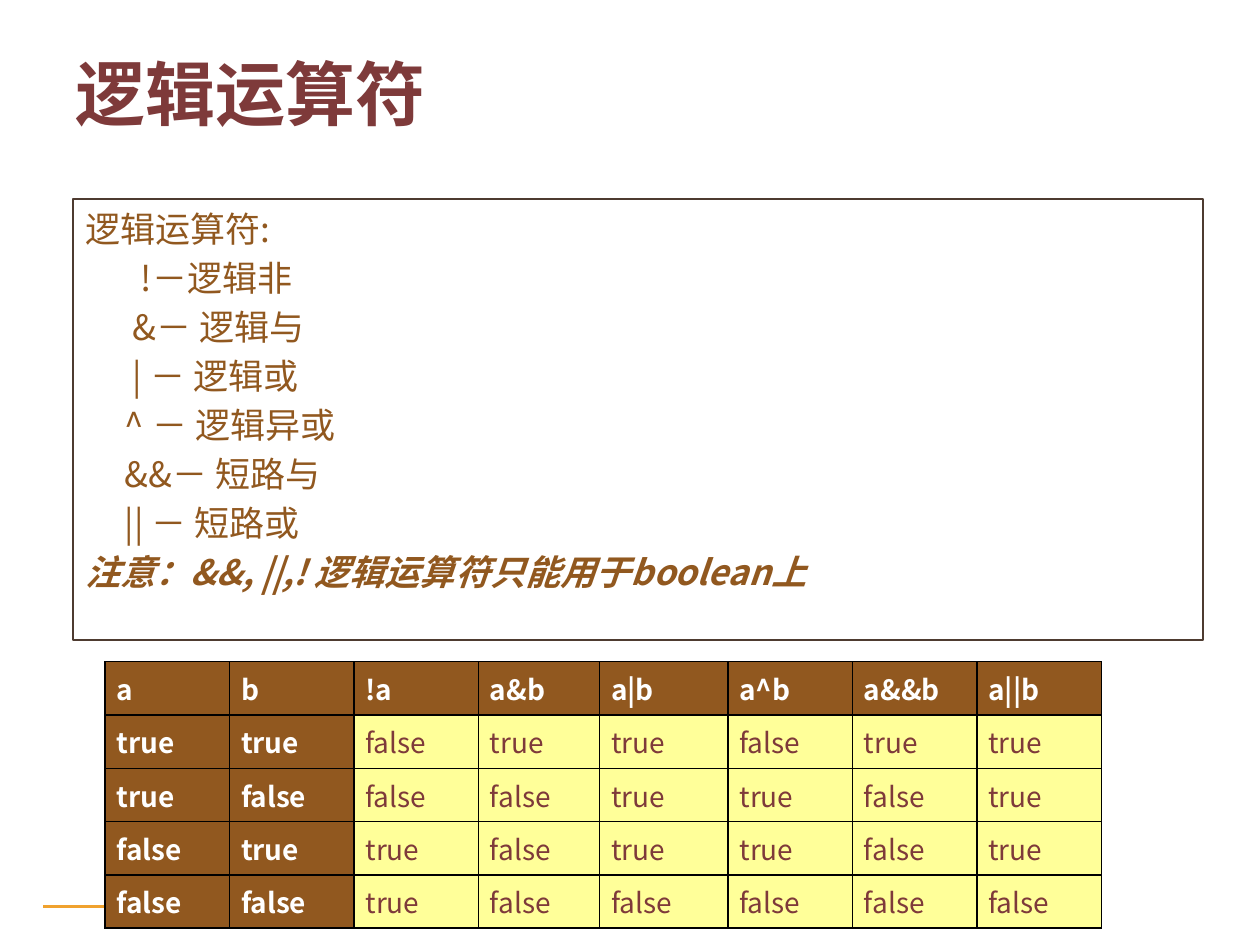
from lxml import etree
from pptx import Presentation
from pptx.dml.color import RGBColor
from pptx.enum import shapes, text
from pptx.oxml import ns
from pptx.util import Cm, Pt

FONT = "Noto Sans CJK SC"
BROWN = RGBColor(0x91, 0x58, 0x1F)
MAROON = RGBColor(0x7E, 0x3A, 0x3A)
YELLOW = RGBColor(0xFF, 0xFF, 0x99)
ORANGE = RGBColor(0xF0, 0xA2, 0x2E)
FRAME = RGBColor(0x4E, 0x3B, 0x30)
WHITE = RGBColor(0xFF, 0xFF, 0xFF)
BLACK = RGBColor(0, 0, 0)

INDENT_STEP = 0.16
OPERATORS = [
    (0, "逻辑运算符:"),
    (7, "!－逻辑非"),
    (6, "&－ 逻辑与"),
    (6, "| － 逻辑或"),
    (5, "^ － 逻辑异或"),
    (5, "&&－ 短路与"),
    (5, "|| － 短路或"),
]
NOTE = "注意：&&, ||,! 逻辑运算符只能用于boolean上"

TRUTH_TABLE = [
    ["a", "b", "!a", "a&b", "a|b", "a^b", "a&&b", "a||b"],
    ["true", "true", "false", "true", "true", "false", "true", "true"],
    ["true", "false", "false", "false", "true", "true", "false", "true"],
    ["false", "true", "true", "false", "true", "true", "false", "true"],
    ["false", "false", "true", "false", "false", "false", "false", "false"],
]
COLUMN_WIDTHS = [2.51, 2.51, 2.51, 2.44, 2.59, 2.51, 2.51, 2.51]
ROW_HEIGHT = 1.07


def apply(target, values):
    for name, value in values.items():
        setattr(target, name, value)


def write(paragraph, words, color, **font_values):
    run = paragraph.add_run()
    run.text = words
    run.font.color.rgb = color
    apply(run.font, {"name": FONT, **font_values})
    properties = run.font._element
    etree.SubElement(properties, ns.qn("a:ea"), typeface=FONT)


def place(shape, left, top, width, height):
    apply(shape, {"left": Cm(left), "top": Cm(top),
                  "width": Cm(width), "height": Cm(height)})


def add_title(slide, words):
    title = slide.shapes.title
    place(title, 1.27, 0.76, 17.35, 2.21)
    apply(title.text_frame, {"vertical_anchor": text.MSO_ANCHOR.MIDDLE,
                             "auto_size": text.MSO_AUTO_SIZE.NONE})
    heading = title.text_frame.paragraphs[0]
    heading.alignment = text.PP_ALIGN.LEFT
    write(heading, words, MAROON, size=Pt(40), bold=True)


def add_box(slide, bounds, line_color, line_width, fill_color=None):
    box = slide.shapes.add_shape(shapes.MSO_SHAPE.RECTANGLE, *map(Cm, bounds))
    box.shadow.inherit = False
    if fill_color is None:
        box.fill.background()
    else:
        box.fill.solid()
        box.fill.fore_color.rgb = fill_color
    box.line.color.rgb = line_color
    box.line.width = Pt(line_width)
    return box


def add_operator_list(slide):
    frame = add_box(slide, (1.47, 4.01, 22.78, 8.89), FRAME, 1).text_frame
    apply(frame, {"word_wrap": True, "vertical_anchor": text.MSO_ANCHOR.TOP,
                  "margin_left": Cm(0.25), "margin_top": Cm(0.03)})
    for index, (steps, words) in enumerate(OPERATORS + [(0, NOTE)]):
        item = frame.add_paragraph() if index else frame.paragraphs[0]
        apply(item, {"alignment": text.PP_ALIGN.LEFT, "line_spacing": Pt(28)})
        item._p.get_or_add_pPr().set("marL", str(Cm(steps * INDENT_STEP)))
        emphasis = words == NOTE
        write(item, words, BROWN, size=Pt(20), bold=emphasis, italic=emphasis)


def add_borders(cell):
    properties = cell._tc.get_or_add_tcPr()
    for side in ("lnL", "lnR", "lnT", "lnB"):
        border = etree.SubElement(properties, ns.qn(f"a:{side}"), w=str(Pt(1)))
        fill = etree.SubElement(border, ns.qn("a:solidFill"))
        etree.SubElement(fill, ns.qn("a:srgbClr"), val=str(BLACK))


def format_cell(cell, words, is_header):
    add_borders(cell)
    cell.fill.solid()
    cell.fill.fore_color.rgb = BROWN if is_header else YELLOW
    apply(cell, {"vertical_anchor": text.MSO_ANCHOR.MIDDLE,
                 "margin_left": Cm(0.23), "margin_right": Cm(0.23),
                 "margin_top": Cm(0.13), "margin_bottom": Cm(0.13)})
    write(cell.text_frame.paragraphs[0], words, WHITE if is_header else MAROON,
          size=Pt(16), bold=is_header)


def add_truth_table(slide):
    row_count = len(TRUTH_TABLE)
    table = slide.shapes.add_table(
        row_count, len(COLUMN_WIDTHS), Cm(2.12), Cm(13.34),
        Cm(sum(COLUMN_WIDTHS)), Cm(ROW_HEIGHT * row_count)).table
    apply(table, {"first_row": False, "horz_banding": False})
    for column, width in zip(table.columns, COLUMN_WIDTHS):
        column.width = Cm(width)
    for row_index, values in enumerate(TRUTH_TABLE):
        table.rows[row_index].height = Cm(ROW_HEIGHT)
        for column_index, value in enumerate(values):
            format_cell(table.cell(row_index, column_index), value,
                        row_index == 0 or column_index < 2)


def main():
    presentation = Presentation()
    apply(presentation, {"slide_width": Cm(25.4), "slide_height": Cm(19.05)})
    slide = presentation.slides.add_slide(presentation.slide_layouts[5])
    add_box(slide, (0.84, 18.21, 20.12, 0.13), WHITE, 2, ORANGE)
    add_operator_list(slide)
    add_truth_table(slide)
    add_title(slide, "逻辑运算符")
    presentation.save("out.pptx")


if __name__ == "__main__":
    main()
